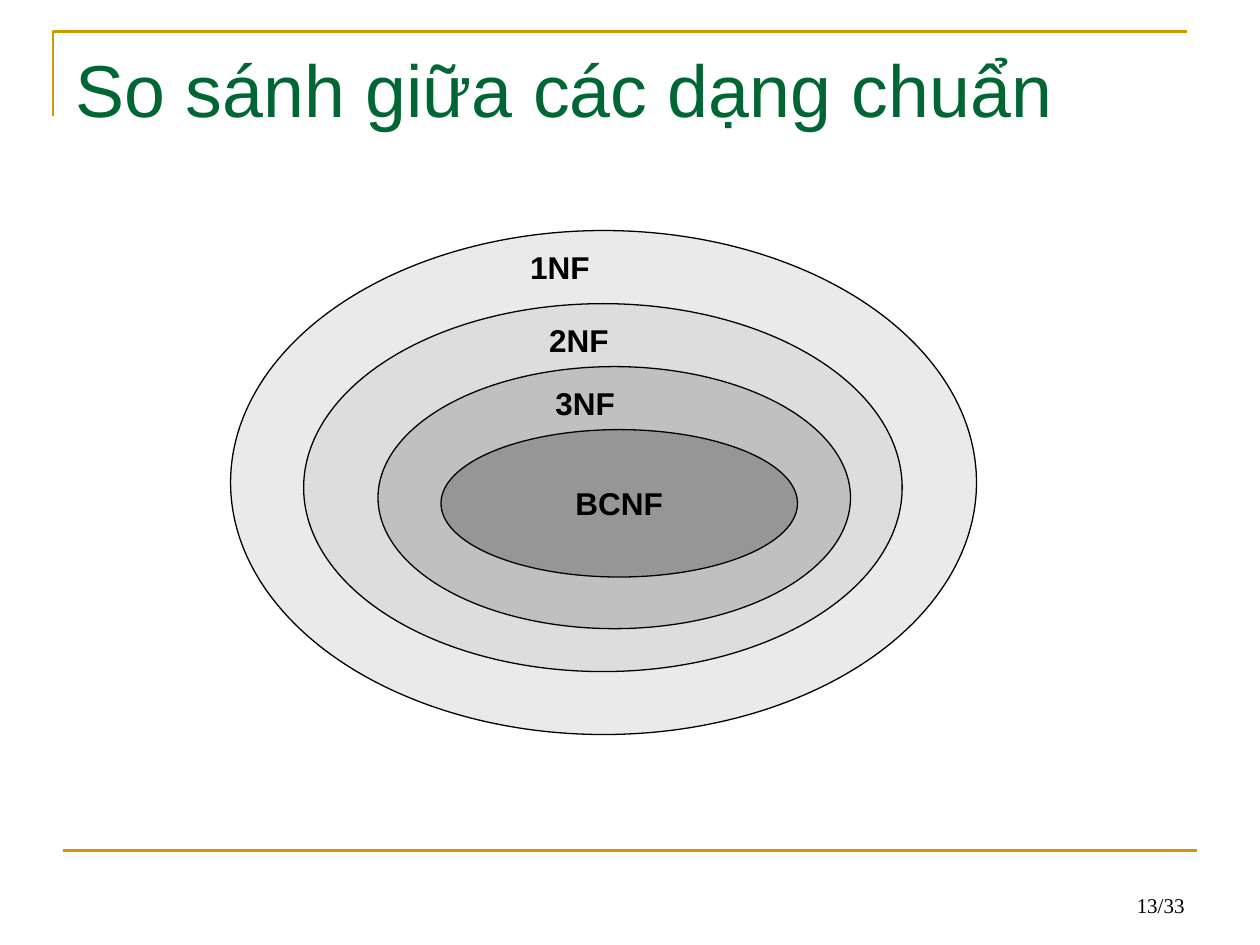
from lxml.etree import SubElement
from pptx import Presentation
from pptx.dml.color import RGBColor
from pptx.enum.shapes import MSO_CONNECTOR, MSO_SHAPE
from pptx.enum.text import MSO_ANCHOR as ANCHOR, PP_ALIGN as ALIGN
from pptx.oxml.ns import qn
from pptx.util import Inches, Pt

COLORS = {
    "gold": "CC9900", "green": "006633", "black": "000000",
    "1NF": "EAEAEA", "2NF": "DDDDDD", "3NF": "C0C0C0", "BCNF": "969696",
}


def color(key):
    """Return the named colour."""
    return RGBColor.from_string(COLORS[key])


def write(shape, text, size=18, font="Arial", ink="black", bold=False,
          align=ALIGN.LEFT, anchor=ANCHOR.TOP, wrap=True):
    """Put formatted text into a shape."""
    frame = shape.text_frame
    frame.word_wrap = wrap
    frame.vertical_anchor = anchor
    paragraph = frame.paragraphs[0]
    paragraph.alignment = align
    run = paragraph.add_run()
    run.text = text
    run.font.size = Pt(size)
    run.font.name = font
    run.font.bold = bold
    run.font.color.rgb = color(ink)


def stroke(shape, key, width):
    """Set the outline of a shape or connector."""
    shape.line.color.rgb = color(key)
    shape.line.width = Pt(width)


def add_frame(slide, left, top, width, height):
    """Draw the corner rule above the title."""
    builder = slide.shapes.build_freeform(Inches(left), Inches(top + height))
    builder.add_line_segments(
        [(Inches(left), Inches(top)), (Inches(left + width), Inches(top))], close=False)
    corner = builder.convert_to_shape()
    corner.fill.background()
    corner.shadow.inherit = False
    stroke(corner, "gold", 1.5)


def add_title(slide, text, left, top, width, height):
    """Place and fill the title placeholder."""
    title = slide.shapes.title
    title.left, title.top, title.width, title.height = map(
        Inches, (left, top, width, height))
    write(title, text, size=42, ink="green")


def add_footer(slide, page, left, top, width, height):
    """Draw the bottom rule and the page number at its right end."""
    rule = slide.shapes.add_connector(
        MSO_CONNECTOR.STRAIGHT, Inches(left), Inches(top), Inches(left + width), Inches(top))
    stroke(rule, "gold", 1.5)
    SubElement(rule._element.spPr, qn("a:effectLst"))
    page_width, page_height = 2.33, 0.5
    number = slide.shapes.add_textbox(
        Inches(left + width - page_width), Inches(top + height - page_height),
        Inches(page_width), Inches(page_height))
    write(number, page, size=12, font="Times New Roman",
          align=ALIGN.RIGHT, anchor=ANCHOR.BOTTOM)


def add_normal_form(slide, name, left, top, width, height, label_left=None):
    """Draw one normal form, labelled near its top or else in its middle."""
    ellipse = slide.shapes.add_shape(
        MSO_SHAPE.OVAL, Inches(left), Inches(top), Inches(width), Inches(height))
    ellipse.shadow.inherit = False
    ellipse.fill.solid()
    ellipse.fill.fore_color.rgb = color(name)
    stroke(ellipse, "black", 0.75)
    if label_left is None:
        write(ellipse, name, bold=True, align=ALIGN.CENTER,
              anchor=ANCHOR.MIDDLE, wrap=False)
    else:
        label = slide.shapes.add_textbox(
            Inches(left + label_left), Inches(top + 0.09), Inches(1), Inches(0.4))
        write(label, name, bold=True)


def add_nested_forms(slide, left, top):
    """Nest the normal forms from the widest to the strictest."""
    forms = [
        ("1NF", 0, 0, 5.92, 4, 2.28),
        ("2NF", 0.58, 0.58, 4.75, 2.92, 1.85),
        ("3NF", 1.17, 1.08, 3.75, 2.08, 1.31),
        ("BCNF", 1.67, 1.58, 2.83, 1.17, None),
    ]
    for name, dx, dy, width, height, label_left in forms:
        add_normal_form(slide, name, left + dx, top + dy, width, height, label_left)


def main():
    """Build and save the slide."""
    deck = Presentation()
    deck.slide_width, deck.slide_height = Inches(10), Inches(7.5)
    slide = deck.slides.add_slide(deck.slide_layouts[5])
    add_frame(slide, 0.42, 0.25, 9, 0.67)
    add_title(slide, "So sánh giữa các dạng chuẩn", 0.5, 0.3, 9, 1.25)
    add_nested_forms(slide, 1.83, 1.83)
    add_footer(slide, "13/33", 0.5, 6.75, 9, 0.58)
    deck.save("out.pptx")


if __name__ == "__main__":
    main()
